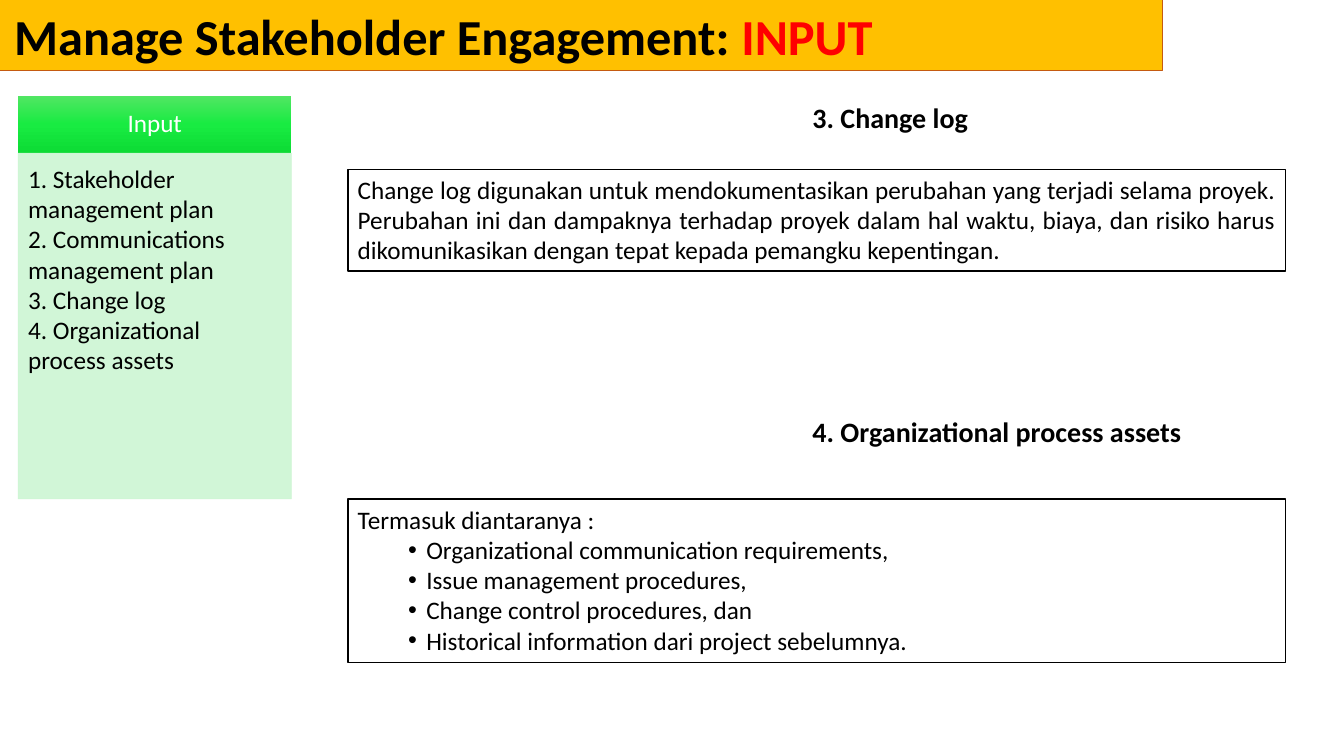
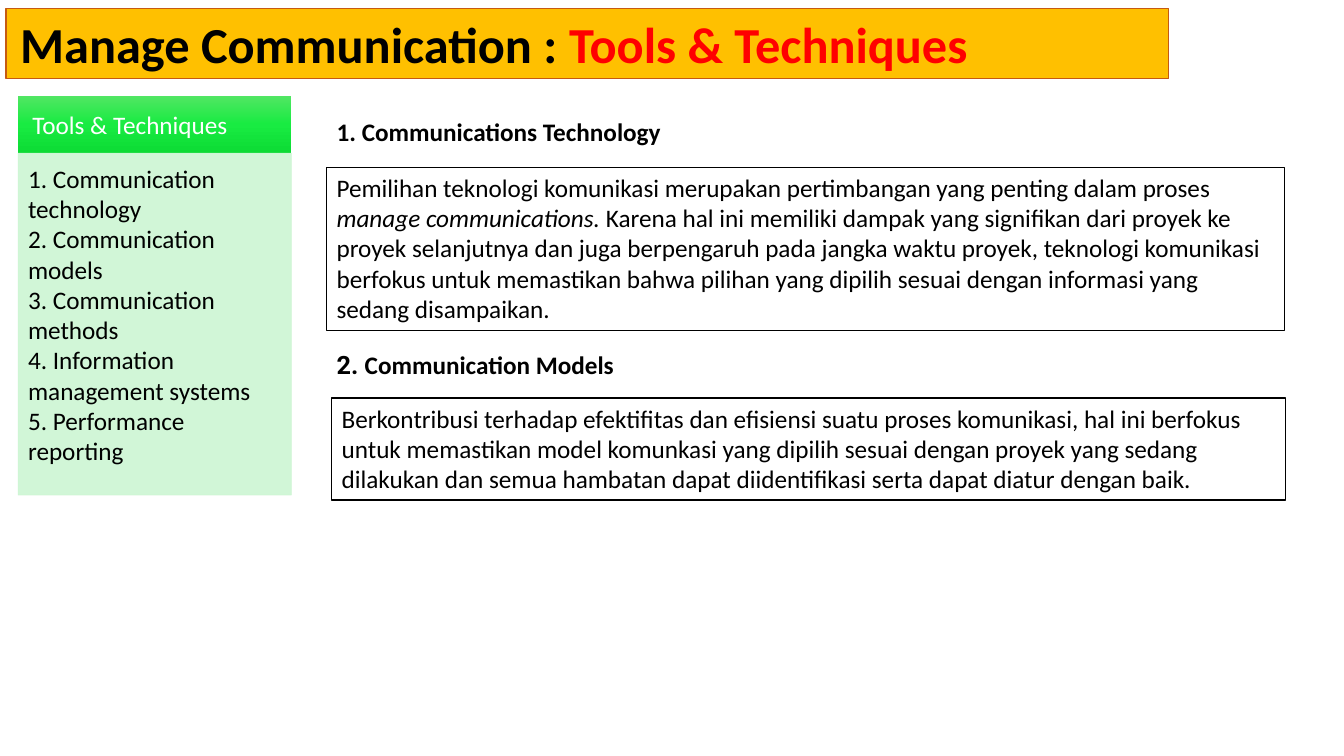
import pptx
import pptx.dml.color
import pptx.enum.shapes
import pptx.enum.text
import pptx.oxml.ns
import pptx.util
from lxml import etree

RGB = pptx.dml.color.RGBColor
ALIGN = pptx.enum.text.PP_ALIGN
ANCHOR = pptx.enum.text.MSO_ANCHOR
RECT = pptx.enum.shapes.MSO_SHAPE.RECTANGLE
qn = pptx.oxml.ns.qn

PX = 9144  # EMU per px, 100 px to the inch
BLACK, WHITE, RED = RGB(0, 0, 0), RGB(255, 255, 255), RGB(255, 0, 0)
AMBER, BROWN = RGB(0xFF, 0xC0, 0x00), RGB(0xC5, 0x5A, 0x11)
MINT = RGB(0xCC, 0xF6, 0xD3)
GREENS = [(0, "51E663"), (50, "19EB42"), (100, "0CDB34")]
BODY = {"name": "Calibri", "size": pptx.util.Pt(18), "color": BLACK}
TITLE = {**BODY, "size": pptx.util.Pt(36), "bold": True}
HEADING = {**BODY, "bold": True}
LARGE_HEADING = {**HEADING, "size": pptx.util.Pt(20)}
INSETS = (10, 5, 10, 5)

# Content: a paragraph is a string or a list of (text, font changes)
SLIDES = [
    {
        "title": ("Manage Stakeholder Engagement: ", "INPUT"),
        "title_at": (0, 0),
        "panel": "Input",
        "panel_format": {"alignment": ALIGN.CENTER, "line_spacing": 0.9},
        "panel_height": 343,
        "items": ["1. Stakeholder management plan", "2. Communications management plan",
                  "3. Change log", "4. Organizational process assets"],
        "heading_font": LARGE_HEADING,
        "sections": [
            {"heading": "3. Change log", "heading_at": (796, 95, 479, 44),
             "box_at": (345, 168, 930, 101), "format": {"alignment": ALIGN.JUSTIFY},
             "text": ["Change log digunakan untuk mendokumentasikan perubahan yang terjadi "
                      "selama proyek. Perubahan ini dan dampaknya terhadap proyek dalam hal "
                      "waktu, biaya, dan risiko harus dikomunikasikan dengan tepat kepada "
                      "pemangku kepentingan."]},
            {"heading": "4. Organizational process assets", "heading_at": (796, 406, 479, 44),
             "box_at": (345, 495, 930, 162),
             "text": ["Termasuk diantaranya :"],
             "bullets": ["Organizational communication requirements,",
                         "Issue management procedures,",
                         "Change control procedures, dan",
                         "Historical information dari project sebelumnya."]},
        ],
    },
    {
        "title": ("Manage Communication : ", "Tools & Techniques"),
        "title_at": (6, 8),
        "panel": "Tools & Techniques",
        "panel_format": {"alignment": ALIGN.LEFT},
        "panel_height": 339,
        "items": ["1. Communication technology", "2. Communication models",
                  "3. Communication methods", "4. Information management systems",
                  "5. Performance reporting"],
        "heading_font": HEADING,
        "sections": [
            {"heading": "1. Communications Technology", "heading_at": (324, 110, 625, 40),
             "box_at": (324, 166, 950, 162),
             "text": [[("Pemilihan teknologi komunikasi merupakan pertimbangan yang penting "
                        "dalam proses ", {}),
                       ("manage communications. ", {"italic": True}),
                       ("Karena hal ini memiliki dampak yang signifikan dari proyek ke proyek "
                        "selanjutnya dan juga berpengaruh pada jangka waktu proyek, teknologi "
                        "komunikasi berfokus untuk memastikan bahwa pilihan yang dipilih sesuai "
                        "dengan informasi yang sedang disampaikan.", {})]]},
            {"heading": [("2. ", {"name": "Roboto"}), ("Communication Models", {})],
             "heading_at": (324, 342, 625, 40),
             "box_at": (329, 395, 946, 101),
             "text": ["Berkontribusi terhadap efektifitas dan efisiensi suatu proses komunikasi, "
                      "hal ini berfokus untuk memastikan model komunkasi yang dipilih sesuai "
                      "dengan proyek yang sedang dilakukan dan semua hambatan dapat "
                      "diidentifikasi serta dapat diatur dengan baik."]},
        ],
    },
]


# Text
def set_all(target, values):
    for name, value in values.items():
        setattr(target, name, value)


def add_bullet(p):
    pPr = p._p.get_or_add_pPr()
    pPr.set("marL", str(68 * PX))
    pPr.set("indent", str(-18 * PX))
    etree.SubElement(pPr, qn("a:buFont"), typeface="Arial")
    etree.SubElement(pPr, qn("a:buChar"), char="•")


def write(sp, paragraphs, font=BODY, bullets=(), insets=INSETS, anchor=ANCHOR.TOP, form=None):
    tf = sp.text_frame
    sides = ("margin_left", "margin_top", "margin_right", "margin_bottom")
    set_all(tf, {side: inset * PX for side, inset in zip(sides, insets)})
    set_all(tf, {"word_wrap": True, "vertical_anchor": anchor})
    for i, runs in enumerate([*paragraphs, *bullets]):
        p = tf.paragraphs[0] if i == 0 else tf.add_paragraph()
        set_all(p, {"alignment": ALIGN.LEFT, **(form or {})})
        if i >= len(paragraphs):
            add_bullet(p)
        for text, changes in [(runs, {})] if isinstance(runs, str) else runs:
            r = p.add_run()
            r.text = text
            values = {**font, **changes}
            r.font.color.rgb = values.pop("color")
            set_all(r.font, values)


# Shapes
def add_box(s, at, fill=None, line=None, width=1):
    sp = s.shapes.add_shape(RECT, *(v * PX for v in at))
    sp.shadow.inherit = False
    if fill is not None:
        sp.fill.solid()
        sp.fill.fore_color.rgb = fill
    if line is None:
        sp.line.fill.background()
    else:
        sp.line.color.rgb = line
        sp.line.width = pptx.util.Pt(width)
    return sp


def fill_gradient(sp, stops):
    sp.fill.gradient()
    sp.fill.gradient_angle = 270
    gs_list = sp._element.spPr.find(".//" + qn("a:gsLst"))
    for old in list(gs_list):
        gs_list.remove(old)
    for position, color in stops:
        gs = etree.SubElement(gs_list, qn("a:gs"), pos=str(position * 1000))
        etree.SubElement(gs, qn("a:srgbClr"), val=color)


def set_opacity(sp, percent):
    for color in sp._element.spPr.iter(qn("a:srgbClr")):
        etree.SubElement(color, qn("a:alpha"), val=str(percent * 1000))


# Slide parts
def add_title(s, content):
    sp = add_box(s, (*content["title_at"], 1153, 70), AMBER, BROWN, 0.75)
    subject, topic = content["title"]
    write(sp, [[(subject, {}), (topic, {"color": RED})]], TITLE, insets=(14, 5, 9, 5))


def add_panel(s, content):
    left, top, width, header_height = 18, 95, 271, 57
    header = add_box(s, (left, top, width, header_height))
    fill_gradient(header, GREENS)
    write(header, [content["panel"]], {**BODY, "color": WHITE}, insets=(14, 8, 14, 8),
          anchor=ANCHOR.MIDDLE, form=content["panel_format"])
    body = add_box(s, (left, top + header_height, width, content["panel_height"]),
                   MINT, MINT, 0.5)
    set_opacity(body, 90)
    write(body, content["items"], insets=(10, 10, 14, 16))


def add_section(s, section, heading_font):
    sp = add_box(s, section["box_at"], WHITE, BLACK)
    write(sp, section["text"], bullets=section.get("bullets", ()), form=section.get("format"))
    heading = s.shapes.add_textbox(*(v * PX for v in section["heading_at"]))
    write(heading, [section["heading"]], heading_font)


def main():
    prs = pptx.Presentation()
    prs.slide_width, prs.slide_height = 1333 * PX, 750 * PX
    for content in SLIDES:
        s = prs.slides.add_slide(prs.slide_layouts[6])
        add_title(s, content)
        add_panel(s, content)
        for section in content["sections"]:
            add_section(s, section, content["heading_font"])
    prs.save("out.pptx")


if __name__ == "__main__":
    main()
